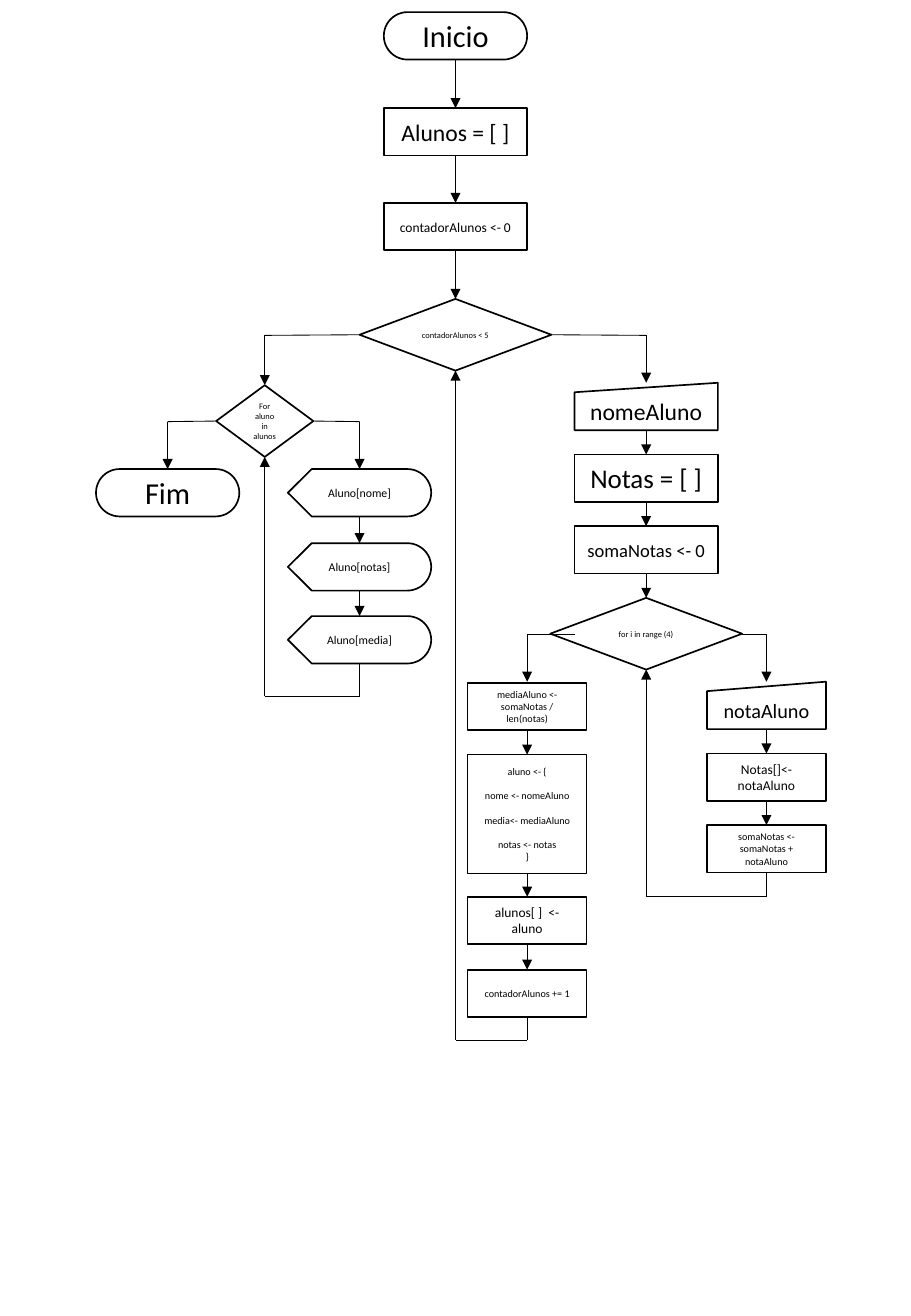
import pptx
import pptx.dml.color
import pptx.enum.shapes
import pptx.enum.text
import pptx.oxml.ns
import pptx.util
from lxml import etree

SHAPES = pptx.enum.shapes.MSO_SHAPE
CONNECTORS = pptx.enum.shapes.MSO_CONNECTOR
COLOURS = {"ink": "000000"}
TOP, LEFT, BOTTOM, RIGHT = range(4)


class Flowchart:
    scale = 9144
    font_name = "Calibri"
    outline_width = 1
    link_width = 0.5

    def __init__(self, slide):
        self.slide = slide
        self.ink = pptx.dml.color.RGBColor.from_string(COLOURS["ink"])

    def px(self, *lengths):
        return [pptx.util.Emu(length * self.scale) for length in lengths]

    def stroke(self, line, width):
        line.color.rgb = self.ink
        line.width = pptx.util.Pt(width)

    def node(self, kind, centre, top, width, height, text, size, gap_before=()):
        shape = self.slide.shapes.add_shape(
            kind, *self.px(centre - width // 2, top, width, height))
        shape.shadow.inherit = False
        shape.fill.background()
        self.stroke(shape.line, self.outline_width)
        if kind == SHAPES.ROUNDED_RECTANGLE:
            shape.adjustments[0] = 0.5
        frame = shape.text_frame
        frame.word_wrap = True
        frame.vertical_anchor = pptx.enum.text.MSO_ANCHOR.MIDDLE
        frame.text = text
        font_format = {"name": self.font_name, "size": pptx.util.Pt(size)}
        for index, paragraph in enumerate(frame.paragraphs):
            paragraph.alignment = pptx.enum.text.PP_ALIGN.CENTER
            if index in gap_before:
                paragraph.space_before = pptx.util.Pt(size * 1.2)
            for run in paragraph.runs:
                for key, value in font_format.items():
                    setattr(run.font, key, value)
                run.font.color.rgb = self.ink
        return shape

    def port(self, shape, side):
        across = {LEFT: 0, RIGHT: shape.width}.get(side, shape.width // 2)
        down = {TOP: 0, BOTTOM: shape.height}.get(side, shape.height // 2)
        return shape.left + across, shape.top + down

    def has_port(self, shape, side):
        return shape.auto_shape_type != SHAPES.FLOWCHART_MANUAL_INPUT or side != TOP

    def segment(self, kind, start, end, arrow):
        connector = self.slide.shapes.add_connector(kind, *start, *end)
        self.stroke(connector.line, self.link_width)
        if arrow:
            etree.SubElement(connector.line._get_or_add_ln(),
                             pptx.oxml.ns.qn("a:tailEnd"), type="triangle")
        etree.SubElement(connector._element.spPr, pptx.oxml.ns.qn("a:effectLst"))
        return connector

    def link(self, source, source_side, target, target_side, *corners):
        points = [self.port(source, source_side),
                  *(self.px(*corner) for corner in corners),
                  self.port(target, target_side)]
        last = len(points) - 2
        segments = [self.segment(CONNECTORS.STRAIGHT, start, end, index == last)
                    for index, (start, end) in enumerate(zip(points, points[1:]))]
        if self.has_port(source, source_side):
            segments[0].begin_connect(source, source_side)
        if self.has_port(target, target_side):
            segments[-1].end_connect(target, target_side)

    def chain(self, *nodes):
        for upper, lower in zip(nodes, nodes[1:]):
            self.link(upper, BOTTOM, lower, TOP)

    def elbow(self, start, end):
        connector = self.segment(CONNECTORS.ELBOW, self.px(*start), self.px(*end), True)
        connector._element.spPr.find(pptx.oxml.ns.qn("a:prstGeom")).set(
            "prst", "bentConnector2")


def main():
    presentation = pptx.Presentation()
    presentation.slide_width = pptx.util.Inches(7.5)
    presentation.slide_height = pptx.util.Inches(10.83)
    chart = Flowchart(presentation.slides.add_slide(presentation.slide_layouts[6]))
    node, link = chart.node, chart.link

    main_x, report_x, end_x, display_x = 375, 218, 138, 296
    student_x, average_x, grade_x = 532, 434, 631
    wide, narrow, height, diamond = 118, 98, 39, (158, 59)
    terminal, process = SHAPES.ROUNDED_RECTANGLE, SHAPES.RECTANGLE
    decision, entry = SHAPES.FLOWCHART_DECISION, SHAPES.FLOWCHART_MANUAL_INPUT

    start = node(terminal, main_x, 10, wide, height, "Inicio", 18)
    students = node(process, main_x, 89, wide, height, "Alunos = [ ]", 14)
    counter = node(process, main_x, 167, wide, height, "contadorAlunos <- 0", 8)
    student_loop = node(decision, main_x, 246, *diamond, "contadorAlunos < 5", 5)
    chart.chain(start, students, counter, student_loop)

    student_name = node(entry, student_x, 315, wide, height, "nomeAluno", 14)
    grades = node(process, student_x, 374, wide, height, "Notas = [ ]", 16)
    total = node(process, student_x, 433, wide, height, "somaNotas <- 0", 11)
    grade_loop = node(decision, student_x, 492, *diamond, "for i in range (4)", 5)
    chart.chain(student_name, grades, total, grade_loop)

    grade = node(entry, grade_x, 561, narrow, height, "notaAluno", 12)
    grade_added = node(process, grade_x, 620, narrow, height, "Notas[]<-notaAluno", 8)
    total_updated = node(process, grade_x, 679, narrow, height,
                         "somaNotas <- somaNotas + notaAluno", 6)
    chart.chain(grade, grade_added, total_updated)

    average = node(process, average_x, 562, narrow, height,
                   "mediaAluno <- somaNotas / len(notas)", 6)
    student = node(process, average_x, 621, narrow, 98,
                   "aluno <- {\nnome <- nomeAluno\nmedia<- mediaAluno\nnotas <- notas\n}",
                   6, gap_before=(1, 2, 3))
    student_added = node(process, average_x, 738, narrow, height, "alunos[ ]  <- aluno", 8)
    counter_updated = node(process, average_x, 798, narrow, height,
                           "contadorAlunos += 1", 6)
    chart.chain(average, student, student_added, counter_updated)

    report_loop = node(decision, report_x, 317, 80, 59, "For aluno in alunos", 5)
    displays = [node(SHAPES.FLOWCHART_DISPLAY, display_x, top, wide, height,
                     f"Aluno[{field}]", 7)
                for field, top in (("nome", 386), ("notas", 447), ("media", 507))]
    chart.chain(*displays)
    end = node(terminal, end_x, 386, wide, height, "Fim", 18)

    link(student_loop, LEFT, report_loop, TOP, (report_x, 276))
    link(student_loop, RIGHT, student_name, TOP, (student_x, 276))
    link(report_loop, LEFT, end, TOP, (end_x, 347))
    link(report_loop, RIGHT, displays[0], TOP, (display_x, 347))
    chart.elbow((611, 522), (grade_x, 561))
    chart.elbow((473, 522), (average_x, 561))

    for last_step, loop, step_x, loop_x, return_y in (
            (displays[-1], report_loop, display_x, report_x, 573),
            (total_updated, grade_loop, grade_x, student_x, 738),
            (counter_updated, student_loop, average_x, main_x, 856)):
        link(last_step, BOTTOM, loop, BOTTOM, (step_x, return_y), (loop_x, return_y))

    presentation.save("out.pptx")


if __name__ == "__main__":
    main()
